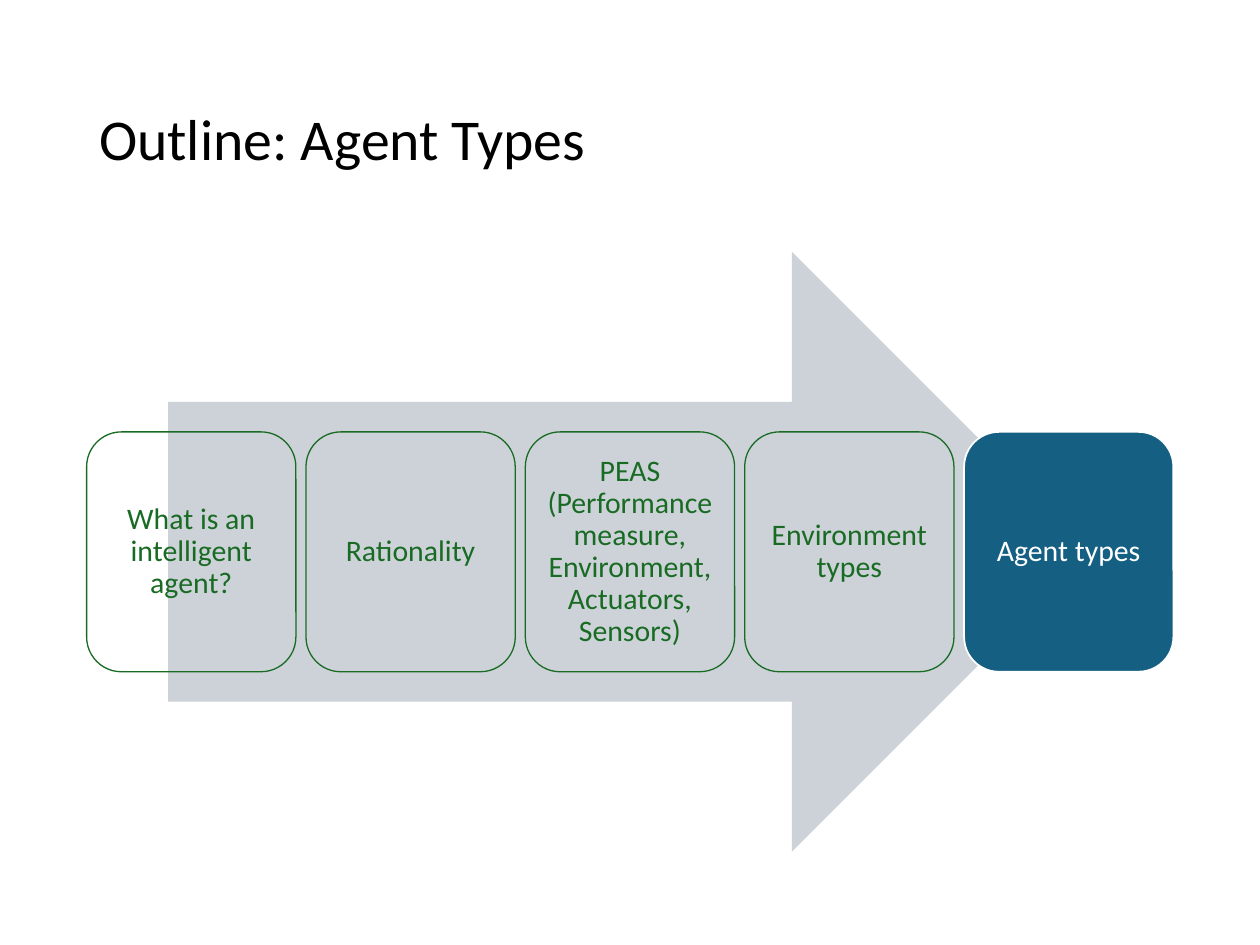
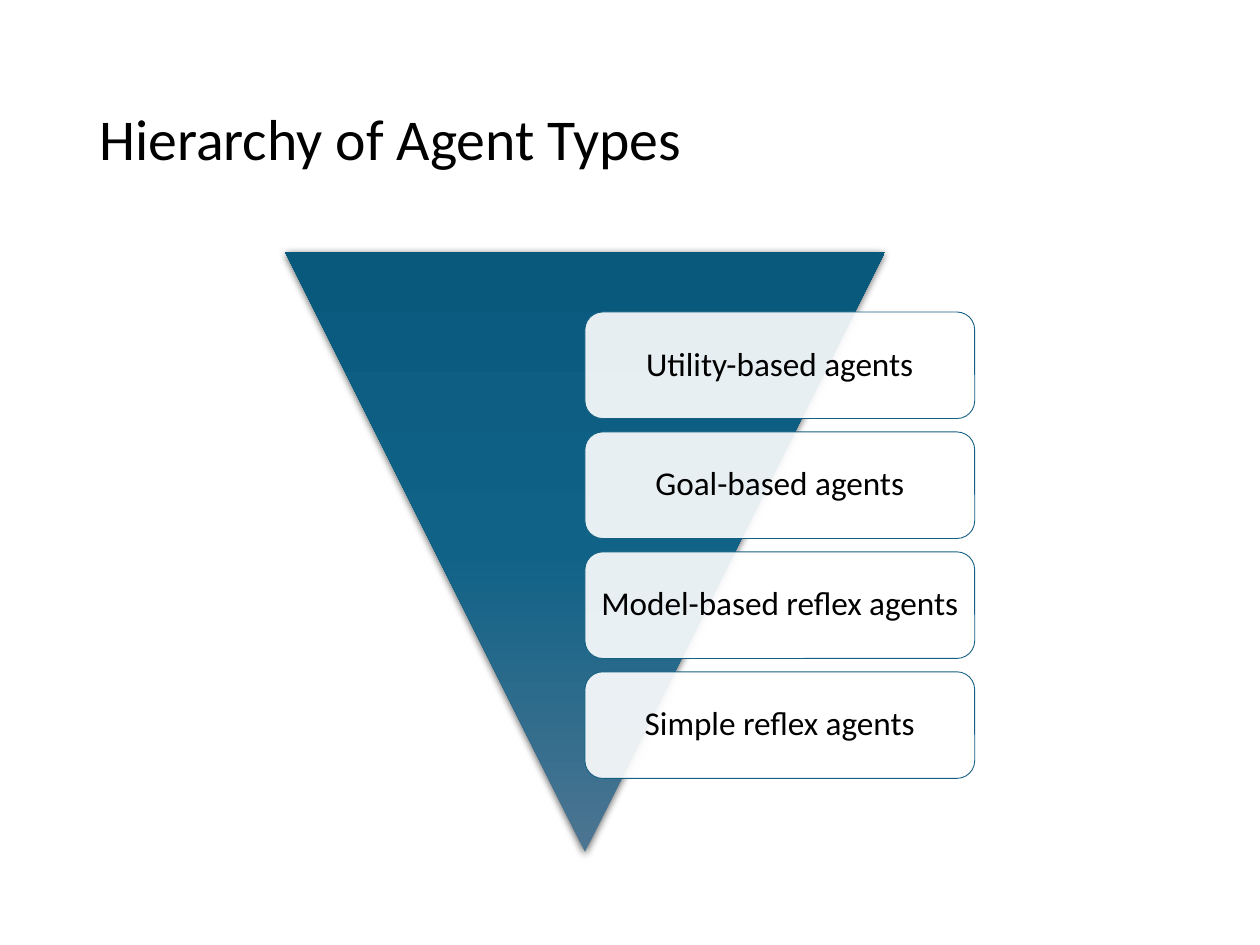
from lxml.etree import SubElement
from pptx import Presentation
from pptx.dml.color import RGBColor
from pptx.enum.shapes import MSO_SHAPE
from pptx.enum.text import MSO_ANCHOR, MSO_AUTO_SIZE, PP_ALIGN
from pptx.oxml import parse_xml
from pptx.oxml.ns import nsdecls, qn
from pptx.util import Pt

COLORS = {
    "black": "000000",
    "white": "FFFFFF",
    "green": "196B24",
    "blue": "156082",
    "arrow": "CCD2D8",
    "grad_top": "4C7591",
    "grad_mid": "106287",
    "grad_end": "09597D",
}
FONT = "Calibri"
LEFT, WIDTH = 49.5, 621
DIAGRAM_TOP, DIAGRAM_SIZE = 144, 342.7


def rgb(name):
    return RGBColor.from_string(COLORS[name])


def write_text(tf, text, size, color="black", align=PP_ALIGN.CENTER, inset=None):
    tf.word_wrap = True
    tf.auto_size = MSO_AUTO_SIZE.NONE
    tf.vertical_anchor = MSO_ANCHOR.MIDDLE
    if inset is not None:
        tf.margin_left = tf.margin_right = Pt(inset)
        tf.margin_top = tf.margin_bottom = Pt(inset)
    p = tf.paragraphs[0]
    p.alignment = align
    p.line_spacing = 0.9
    r = p.add_run()
    r.text = text
    r.font.name = FONT
    r.font.size = Pt(size)
    r.font.color.rgb = rgb(color)


def add_titled_slide(prs, title):
    s = prs.slides.add_slide(prs.slide_layouts[5])
    sp = s.shapes.title
    sp.left, sp.top, sp.width, sp.height = Pt(LEFT), Pt(28.8), Pt(WIDTH), Pt(104.4)
    write_text(sp.text_frame, title, 33, align=PP_ALIGN.LEFT)
    return s


def add_shape(s, kind, x, y, w, h, fill=None, alpha=None, line=None, line_width=1):
    sp = s.shapes.add_shape(kind, Pt(x), Pt(y), Pt(w), Pt(h))
    sp.shadow.inherit = False
    if fill:
        sp.fill.solid()
        sp.fill.fore_color.rgb = rgb(fill)
    else:
        sp.fill.background()
    if alpha:
        color = sp._element.spPr.find(qn("a:solidFill"))[0]
        SubElement(color, qn("a:alpha"), val=str(alpha * 1000))
    if line:
        sp.line.color.rgb = rgb(line)
        sp.line.width = Pt(line_width)
    else:
        sp.line.fill.background()
    return sp


def set_gradient(sp, stops):
    gs = "".join(
        f'<a:gs pos="{pos * 1000}"><a:srgbClr val="{COLORS[name]}"/></a:gs>'
        for pos, name in stops
    )
    grad = parse_xml(
        f'<a:gradFill {nsdecls("a")} rotWithShape="1"><a:gsLst>{gs}</a:gsLst>'
        '<a:lin ang="5400000" scaled="0"/></a:gradFill>'
    )
    spPr = sp._element.spPr
    spPr.replace(spPr.find(qn("a:noFill")), grad)


def set_shadow(sp, blur, dist, alpha):
    effects = sp._element.spPr.find(qn("a:effectLst"))
    shadow = SubElement(
        effects, qn("a:outerShdw"), blurRad=str(Pt(blur)), dist=str(Pt(dist)),
        dir="5400000", algn="ctr", rotWithShape="0",
    )
    color = SubElement(shadow, qn("a:srgbClr"), val=COLORS["black"])
    SubElement(color, qn("a:alpha"), val=str(alpha * 1000))


def add_process_arrow(s, steps, current):
    add_shape(s, MSO_SHAPE.RIGHT_ARROW, LEFT + WIDTH * 0.075, DIAGRAM_TOP,
              WIDTH * 0.85, DIAGRAM_SIZE, fill="arrow")
    gap = 5.75
    w = (WIDTH - gap * (len(steps) - 1)) / len(steps)
    y, h = DIAGRAM_TOP + DIAGRAM_SIZE * 0.3, DIAGRAM_SIZE * 0.4
    for i, step in enumerate(steps):
        if step == current:
            style, color = {"fill": "blue", "line": "white"}, "white"
        else:
            style, color = {"line": "green", "line_width": 0.75}, "green"
        sp = add_shape(s, MSO_SHAPE.ROUNDED_RECTANGLE, LEFT + i * (w + gap), y, w, h, **style)
        write_text(sp.text_frame, step, 17, color, inset=5)


def add_inverted_pyramid(s, levels):
    x = 162.9
    sp = add_shape(s, MSO_SHAPE.ISOSCELES_TRIANGLE, x, DIAGRAM_TOP, DIAGRAM_SIZE, DIAGRAM_SIZE)
    sp.rotation = 180
    set_gradient(sp, [(0, "grad_top"), (50, "grad_mid"), (100, "grad_end")])
    set_shadow(sp, blur=4.5, dist=1.5, alpha=63)
    pitch = DIAGRAM_SIZE * 0.2
    for i, level in enumerate(levels):
        sp = add_shape(s, MSO_SHAPE.ROUNDED_RECTANGLE, x + DIAGRAM_SIZE / 2,
                       DIAGRAM_TOP + DIAGRAM_SIZE * 0.1 + i * pitch,
                       DIAGRAM_SIZE * 0.65, pitch * 8 / 9,
                       fill="white", alpha=90, line="blue", line_width=0.5)
        write_text(sp.text_frame, level, 19, inset=5.5)


def main():
    prs = Presentation()
    prs.slide_width, prs.slide_height = Pt(720), Pt(540)

    s = add_titled_slide(prs, "Outline: Agent Types")
    add_process_arrow(s, [
        "What is an intelligent agent?",
        "Rationality",
        "PEAS (Performance measure, Environment, Actuators, Sensors)",
        "Environment types",
        "Agent types",
    ], current="Agent types")

    s = add_titled_slide(prs, "Hierarchy of Agent Types")
    add_inverted_pyramid(s, [
        "Utility-based agents",
        "Goal-based agents",
        "Model-based reflex agents",
        "Simple reflex agents",
    ])

    prs.save("out.pptx")


if __name__ == "__main__":
    main()
